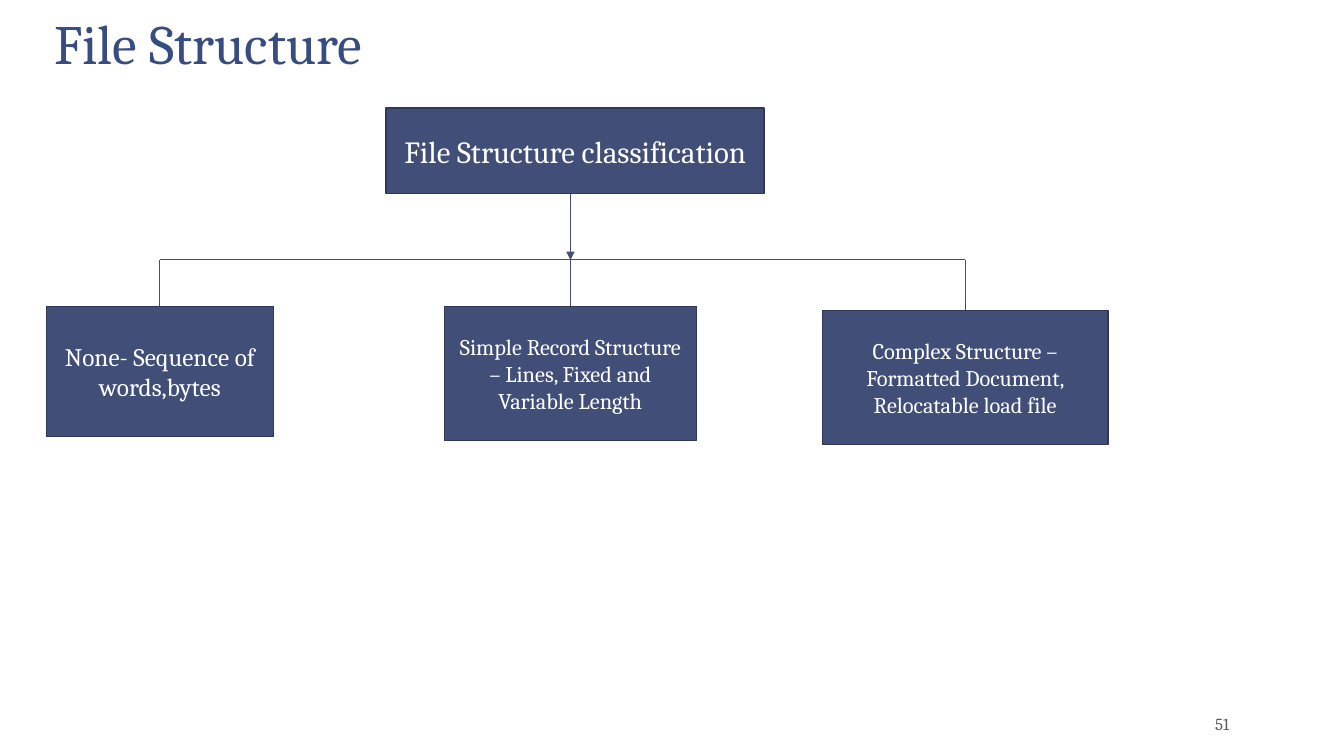
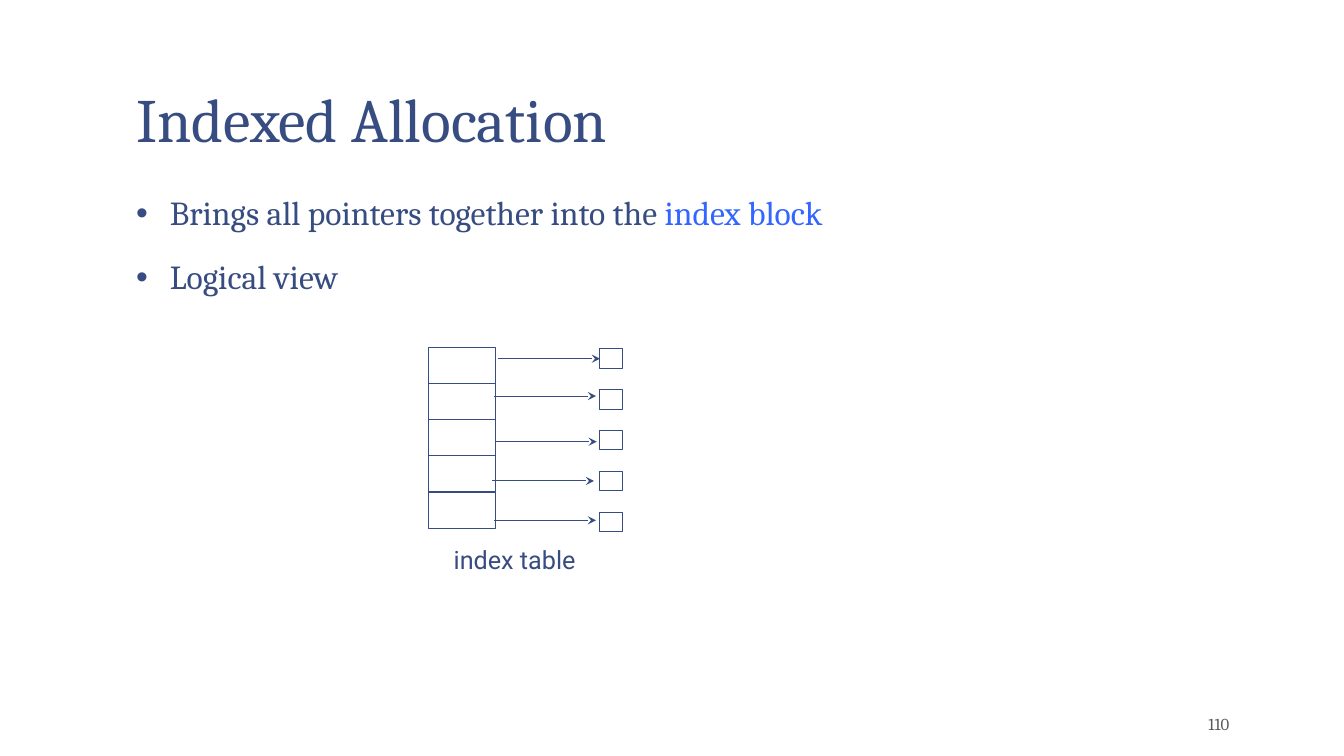
"""Build two slides on file structure and indexed allocation."""
import dataclasses

import pptx
import pptx.dml.color
import pptx.enum.shapes
import pptx.enum.text
import pptx.oxml
import pptx.oxml.ns
import pptx.util

Cm = pptx.util.Cm
Pt = pptx.util.Pt
Align = pptx.enum.text.PP_ALIGN
Anchor = pptx.enum.text.MSO_ANCHOR


@dataclasses.dataclass(frozen=True)
class Theme:
    """Hold the colours, fonts and type sizes of the deck."""
    ink: str = "374C81"
    accent: str = "3366FF"
    box_fill: str = "414E77"
    box_edge: str = "2F3856"
    paper: str = "FFFFFF"
    muted: str = "595959"
    font: str = "Cambria"
    caption_font: str = "Roboto"
    title_size: float = 44
    small_title_size: float = 39.6
    body_size: float = 24
    root_size: float = 22
    large_size: float = 18
    small_size: float = 16
    number_size: float = 12
    thin_line: float = 0.75
    box_line: float = 1


THEME = Theme()
WIDE_INSET = (0.33, 0.18)
BOX_INSET = (0.25, 0.13)


def rgb(value):
    """Turn a hex string into a colour."""
    return pptx.dml.color.RGBColor.from_string(value)


def apply(target, values):
    """Set each attribute named in a dict of format values."""
    for name, value in values.items():
        setattr(target, name, value)


def place(shape, left, top, width, height):
    """Move and size a shape, in centimetres."""
    apply(shape, {"left": Cm(left), "top": Cm(top), "width": Cm(width), "height": Cm(height)})


def format_frame(frame, anchor, inset):
    """Set the anchor, wrapping and insets of a text frame."""
    side, end = map(Cm, inset)
    apply(frame, {"word_wrap": True, "auto_size": pptx.enum.text.MSO_AUTO_SIZE.NONE,
                  "vertical_anchor": anchor, "margin_left": side, "margin_right": side,
                  "margin_top": end, "margin_bottom": end})


def add_span(para, text, size, colour, font=THEME.font):
    """Add a formatted run to a paragraph."""
    span = para.add_run()
    span.text = text
    apply(span.font, {"size": Pt(size), "name": font})
    span.font.color.rgb = rgb(colour)


def set_title(page, text, size, left, top, width, height):
    """Fill and move the title placeholder."""
    title = page.shapes.title
    place(title, left, top, width, height)
    format_frame(title.text_frame, Anchor.BOTTOM, WIDE_INSET)
    para = title.text_frame.paragraphs[0]
    apply(para, {"alignment": Align.LEFT, "line_spacing": 0.85})
    add_span(para, text, size, THEME.ink)


def add_bullet(para):
    """Give a paragraph a hanging round bullet."""
    properties = para._p.get_or_add_pPr()
    properties.set("marL", str(Cm(0.85)))
    properties.set("indent", str(-Cm(0.85)))
    namespace = pptx.oxml.ns.nsdecls("a")
    for markup in (f'<a:buClr {namespace}><a:srgbClr val="{THEME.ink}"/></a:buClr>',
                   f'<a:buFont {namespace} typeface="Arial"/>',
                   f'<a:buChar {namespace} char="•"/>'):
        properties.append(pptx.oxml.parse_xml(markup))


def set_body(page, items, *bounds):
    """Fill the body placeholder with bullets made of text and colour pairs."""
    body = page.placeholders[1]
    place(body, *bounds)
    frame = body.text_frame
    format_frame(frame, Anchor.TOP, WIDE_INSET)
    for index, spans in enumerate(items):
        para = frame.add_paragraph() if index else frame.paragraphs[0]
        apply(para, {"alignment": Align.LEFT, "line_spacing": 0.95,
                     "space_before": Pt(18.7 if index else 0), "space_after": Pt(0)})
        add_bullet(para)
        for text, colour in spans:
            add_span(para, text, THEME.body_size, colour)


def add_label(page, text, size, colour, font, alignment, anchor, inset, bounds):
    """Add a text box of one paragraph."""
    label = page.shapes.add_textbox(*map(Cm, bounds))
    format_frame(label.text_frame, anchor, inset)
    para = label.text_frame.paragraphs[0]
    para.alignment = alignment
    add_span(para, text, size, colour, font)


def add_page_number(page, number):
    """Add the page number at the lower right."""
    add_label(page, number, THEME.number_size, THEME.muted, THEME.font, Align.RIGHT,
              Anchor.BOTTOM, WIDE_INSET, (28.24, 17.78, 3.07, 0.89))


def add_box(page, bounds, fill, edge, weight):
    """Add a rectangle with a fill and an outline."""
    box = page.shapes.add_shape(pptx.enum.shapes.MSO_SHAPE.RECTANGLE, *map(Cm, bounds))
    box.shadow.inherit = False
    box.fill.solid()
    box.fill.fore_color.rgb = rgb(fill)
    box.line.color.rgb = rgb(edge)
    box.line.width = Pt(weight)
    return box


def add_text_box(page, text, size, bounds):
    """Add a dark rectangle with centred text."""
    box = add_box(page, bounds, THEME.box_fill, THEME.box_edge, THEME.box_line)
    format_frame(box.text_frame, Anchor.MIDDLE, BOX_INSET)
    para = box.text_frame.paragraphs[0]
    para.alignment = Align.CENTER
    add_span(para, text, size, THEME.paper)


def add_line(page, start, end, colour, head=None):
    """Add a straight line, with an arrowhead at its end if one is named."""
    line = page.shapes.add_connector(pptx.enum.shapes.MSO_CONNECTOR.STRAIGHT,
                                     *map(Cm, start + end))
    line.line.color.rgb = rgb(colour)
    line.line.width = Pt(THEME.thin_line)
    namespace = pptx.oxml.ns.nsdecls("a")
    if head:
        line.line._get_or_add_ln().append(
            pptx.oxml.parse_xml(f'<a:tailEnd {namespace} type="{head}"/>'))
    line._element.spPr.append(pptx.oxml.parse_xml(f"<a:effectLst {namespace}/>"))


def add_cell_column(page, count, left, top, width, height, pitch):
    """Stack equal white cells at a fixed pitch."""
    for index in range(count):
        add_box(page, (left, top + index * pitch, width, height),
                THEME.paper, THEME.ink, THEME.thin_line)


def build_file_structure(deck):
    """Build the tree of file structure classes."""
    page = deck.slides.add_slide(deck.slide_layouts[5])
    set_title(page, "File Structure", THEME.small_title_size, 1.04, 0.2, 30.28, 1.9)
    add_page_number(page, "51")
    children = [
        ("None- Sequence of words,bytes", THEME.large_size, (1.17, 7.72, 5.72, 3.28)),
        ("Simple Record Structure – Lines, Fixed and Variable Length", THEME.small_size,
         (11.2, 7.72, 6.35, 3.38)),
        ("Complex Structure – Formatted Document, Relocatable load file", THEME.small_size,
         (20.73, 7.82, 7.19, 3.38)),
    ]
    centres = [left + width / 2 for _, _, (left, _, width, _) in children]
    spine, branch_end = 6.55, 8.05
    add_text_box(page, "File Structure classification", THEME.root_size,
                 (9.73, 2.72, 9.53, 2.16))
    add_line(page, (centres[1], 4.88), (centres[1], spine), THEME.box_fill, "triangle")
    add_line(page, (centres[0], spine), (centres[-1], spine), THEME.box_fill)
    for centre in centres:
        add_line(page, (centre, spine), (centre, branch_end), THEME.box_fill, "triangle")
    for text, size, bounds in children:
        add_text_box(page, text, size, bounds)


def build_indexed_allocation(deck):
    """Build the logical view of an index table."""
    page = deck.slides.add_slide(deck.slide_layouts[1])
    set_title(page, "Indexed Allocation", THEME.title_size, 3.1, 0.2, 28.22, 3.89)
    items = [
        [("Brings all pointers together into the ", THEME.ink), ("index block", THEME.accent)],
        [("Logical view", THEME.ink)],
    ]
    set_body(page, items, 3.1, 4.72, 28.22, 12.42)
    add_page_number(page, "110")
    arrow_starts = [(12.55, 9.04), (12.45, 9.98), (12.47, 11.13), (12.4, 12.12), (12.45, 13.11)]
    add_cell_column(page, len(arrow_starts), 10.8, 8.76, 1.69, 0.91, 0.91)
    add_cell_column(page, len(arrow_starts), 15.11, 8.79, 0.57, 0.49, 1.03)
    for left, top in arrow_starts:
        add_line(page, (left, top), (left + 2.57, top), THEME.ink, "stealth")
    add_label(page, "index table", THEME.large_size, THEME.ink, THEME.caption_font,
              Align.CENTER, Anchor.MIDDLE, BOX_INSET, (11.18, 13.21, 3.58, 1.8))


def main():
    """Build and save the deck."""
    deck = pptx.Presentation()
    apply(deck, {"slide_width": Cm(33.87), "slide_height": Cm(19.05)})
    build_file_structure(deck)
    build_indexed_allocation(deck)
    deck.save("out.pptx")


if __name__ == "__main__":
    main()
